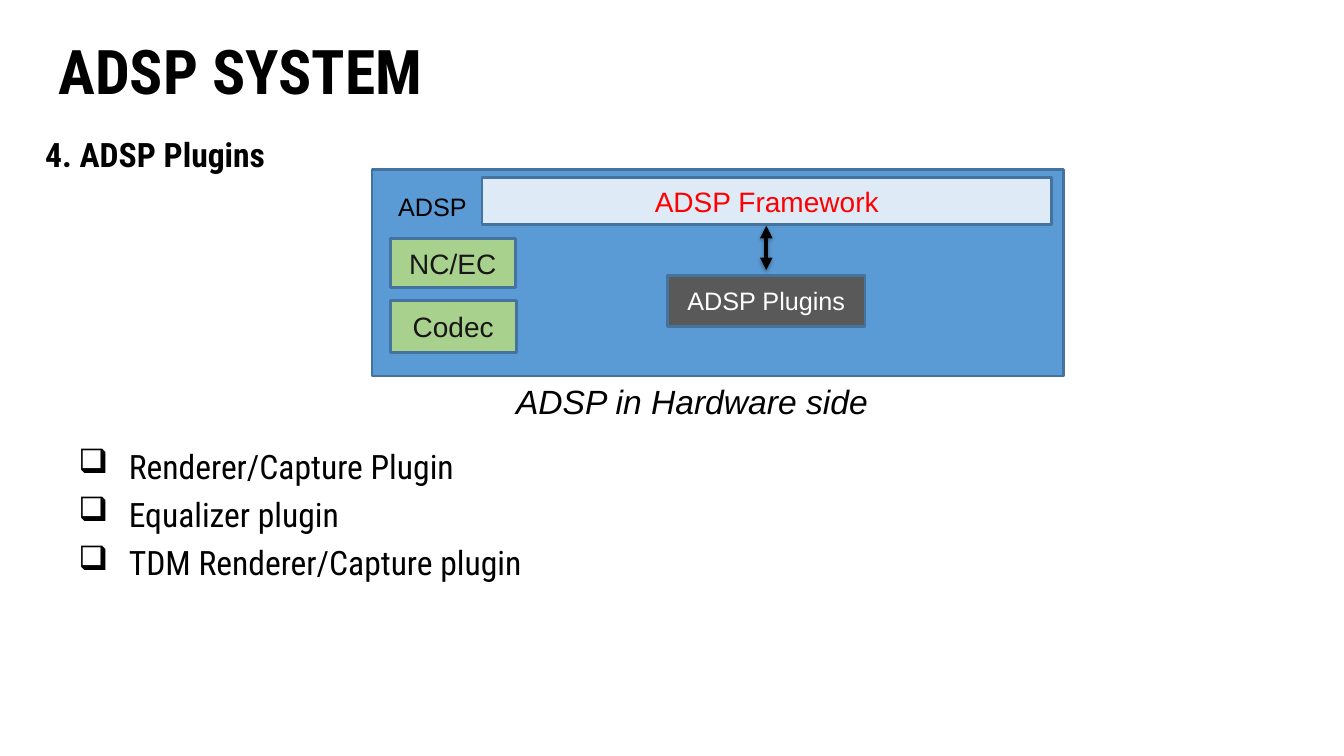
from lxml import etree
from pptx import Presentation
from pptx import util as u
from pptx.dml.color import RGBColor
from pptx.enum import shapes, text
from pptx.oxml.ns import qn

PX = 9144
BLACK = RGBColor(0x00, 0x00, 0x00)
WHITE = RGBColor(0xFF, 0xFF, 0xFF)
RED = RGBColor(0xFF, 0x00, 0x00)
INK = RGBColor(0x18, 0x17, 0x17)
BLUE = RGBColor(0x5B, 0x9B, 0xD5)
PALE_BLUE = RGBColor(0xDE, 0xEB, 0xF7)
GREEN = RGBColor(0xA9, 0xD1, 0x8E)
GRAY = RGBColor(0x59, 0x59, 0x59)
OUTLINE = RGBColor(0x43, 0x73, 0x9E)
HEADING_FONT = "Roboto Condensed"
DIAGRAM_FONT = "Arial"


def write_text(paragraph, content, size=20, font=DIAGRAM_FONT, color=BLACK,
               bold=False, italic=False, align=None, spacing=None):
    run = paragraph.add_run()
    run.text = content
    run.font.size = u.Pt(size)
    run.font.name = font
    run.font.color.rgb = color
    run.font.bold = bold
    run.font.italic = italic
    paragraph.alignment = align
    paragraph.line_spacing = spacing


class SlideBuilder:
    def __init__(self, slide):
        self.slide = slide
        self.outline = OUTLINE
        self.outline_width = u.Pt(2)

    def label(self, box, lines, bullet=None, anchor=text.MSO_ANCHOR.TOP, **style):
        shape = self.slide.shapes.add_textbox(*(value * PX for value in box))
        frame = shape.text_frame
        frame.word_wrap = True
        frame.vertical_anchor = anchor
        for index, line in enumerate(lines):
            paragraph = frame.add_paragraph() if index else frame.paragraphs[0]
            write_text(paragraph, line, **style)
            if bullet:
                self.add_bullet(paragraph, bullet)

    def add_bullet(self, paragraph, symbol):
        properties = paragraph._p.get_or_add_pPr()
        properties.set("marL", str(83 * PX))
        properties.set("indent", str(-50 * PX))
        color = etree.SubElement(properties, qn("a:buClr"))
        etree.SubElement(color, qn("a:srgbClr"), val=str(BLACK))
        etree.SubElement(properties, qn("a:buChar"), char=symbol)

    def block(self, box, fill, content=None, **style):
        shape = self.slide.shapes.add_shape(
            shapes.MSO_SHAPE.RECTANGLE, *(value * PX for value in box))
        shape.shadow.inherit = False
        shape.fill.solid()
        shape.fill.fore_color.rgb = fill
        shape.line.color.rgb = self.outline
        shape.line.width = self.outline_width
        if content:
            shape.text_frame.word_wrap = True
            shape.text_frame.vertical_anchor = text.MSO_ANCHOR.MIDDLE
            write_text(shape.text_frame.paragraphs[0], content,
                       align=text.PP_ALIGN.CENTER, **style)

    def double_arrow(self, start, end):
        connector = self.slide.shapes.add_connector(
            shapes.MSO_CONNECTOR.STRAIGHT, *(value * PX for value in start + end))
        connector.line.color.rgb = BLACK
        connector.line.width = u.Pt(3)
        line = connector.line._get_or_add_ln()
        for tip in ("a:headEnd", "a:tailEnd"):
            etree.SubElement(line, qn(tip), type="triangle")
        effects = etree.SubElement(connector._element.spPr, qn("a:effectLst"))
        shadow = etree.SubElement(
            effects, qn("a:outerShdw"), blurRad=str(u.Pt(3.1)),
            dist=str(u.Pt(1.8)), dir="5400000", rotWithShape="0")
        color = etree.SubElement(shadow, qn("a:srgbClr"), val=str(BLACK))
        etree.SubElement(color, qn("a:alpha"), val="35000")


def main():
    presentation = Presentation()
    presentation.slide_width = u.Emu(1333 * PX)
    presentation.slide_height = u.Emu(750 * PX)
    builder = SlideBuilder(presentation.slides.add_slide(presentation.slide_layouts[6]))

    builder.label((48, 28, 1237, 92), ["ADSP SYSTEM"], size=44, font=HEADING_FONT,
                  bold=True, spacing=0.9, anchor=text.MSO_ANCHOR.MIDDLE)
    builder.label((35, 120, 320, 58), ["4. ADSP Plugins"], size=24,
                  font=HEADING_FONT, bold=True, spacing=1.2)
    plugins = ["Renderer/Capture Plugin", "Equalizer plugin", "TDM Renderer/Capture plugin"]
    builder.label((35, 429, 1286, 302), plugins, bullet="❑", size=24,
                  font=HEADING_FONT, spacing=1.2)

    builder.block((369, 168, 686, 205), BLUE)
    builder.block((478, 176, 565, 47), PALE_BLUE, "ADSP Framework", color=RED)
    builder.block((387, 237, 124, 48), GREEN, "NC/EC", color=INK)
    builder.block((387, 298, 125, 52), GREEN, "Codec", color=INK)
    builder.block((662, 273, 196, 51), GRAY, "ADSP Plugins", size=18, color=WHITE)
    builder.label((385, 185, 93, 40), ["ADSP"], size=18)
    builder.double_arrow((760, 268), (760, 224))
    builder.label((502, 373, 464, 50), ["ADSP in Hardware side"], size=24, italic=True)

    presentation.save("out.pptx")


if __name__ == "__main__":
    main()
